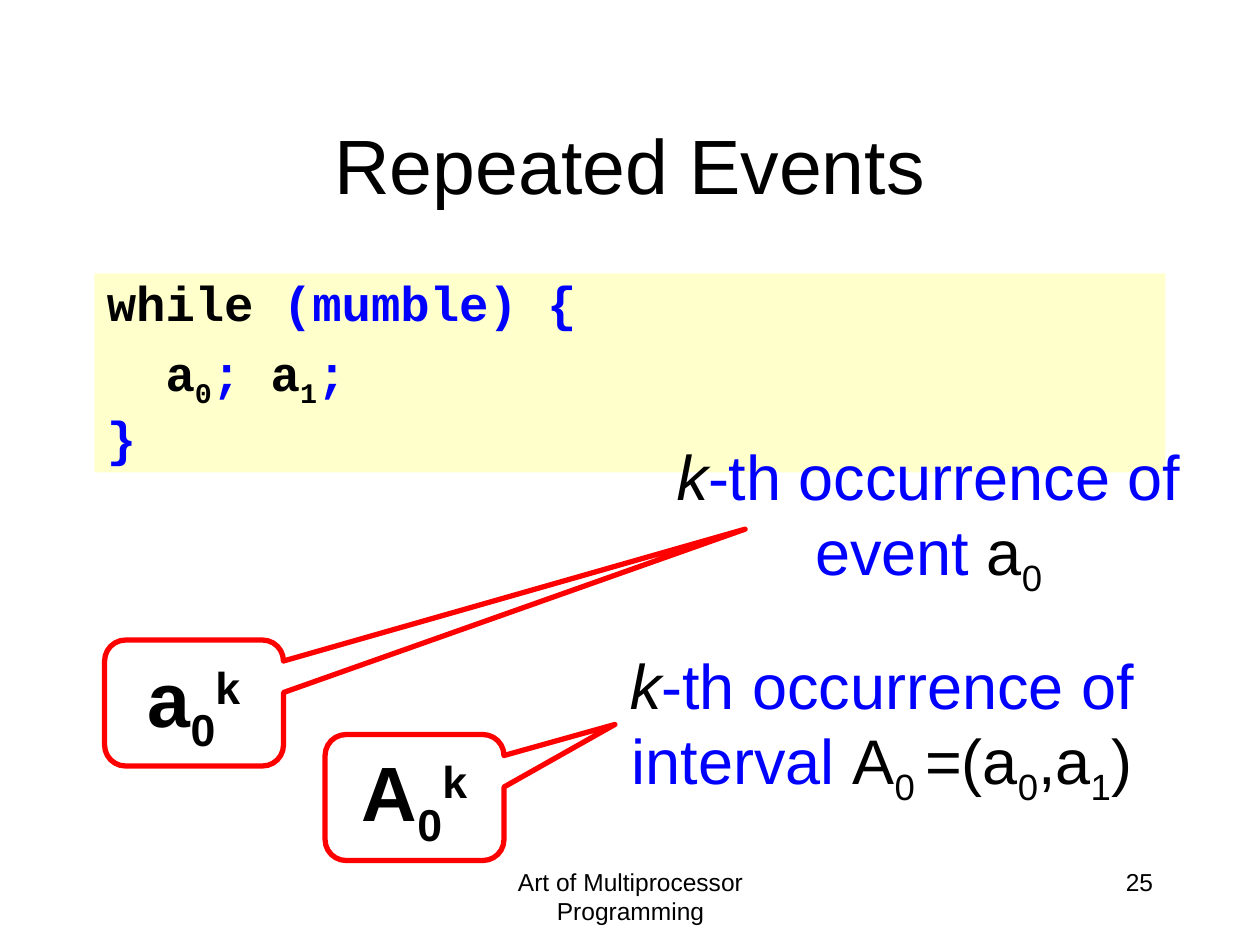
from dataclasses import dataclass
from typing import Optional

import pptx
import pptx.dml.color
import pptx.enum.shapes
import pptx.enum.text
import pptx.util

Inches, Pt = pptx.util.Inches, pptx.util.Pt
RGBColor = pptx.dml.color.RGBColor
MSO_SHAPE = pptx.enum.shapes.MSO_SHAPE
ANCHOR = pptx.enum.text.MSO_ANCHOR
ALIGN = pptx.enum.text.PP_ALIGN

BLACK = RGBColor(0x00, 0x00, 0x00)
BLUE = RGBColor(0x00, 0x00, 0xFF)
RED = RGBColor(0xFF, 0x00, 0x00)
CREAM = RGBColor(0xFF, 0xFF, 0xCC)
SUB, SUPER = -25, 30


@dataclass
class Run:
    text: str
    color: RGBColor = BLACK
    italic: bool = False
    base: int = 0


@dataclass
class Block:
    """A box of text; box is left, top, width, height in inches."""
    box: tuple
    paragraphs: list
    size: int
    align: int = ALIGN.CENTER
    anchor: int = ANCHOR.TOP
    font: str = "Arial"
    bold: bool = False
    tip: Optional[tuple] = None  # callout tip offset, in shares of the box


def set_all(target, values: dict) -> None:
    for name, value in values.items():
        setattr(target, name, value)


def draw_text(sp, block: Block) -> None:
    tf = sp.text_frame
    set_all(tf, {"word_wrap": True, "vertical_anchor": block.anchor})
    for i, runs in enumerate(block.paragraphs):
        p = tf.add_paragraph() if i else tf.paragraphs[0]
        p.alignment = block.align
        for run in runs:
            r = p.add_run()
            r.text = run.text
            set_all(r.font, {"name": block.font, "size": Pt(block.size),
                             "bold": block.bold, "italic": run.italic})
            r.font.color.rgb = run.color
            if run.base:
                r.font._element.set("baseline", str(run.base * 1000))


def draw_block(s, block: Block):
    box = [Inches(v) for v in block.box]
    if block.tip:
        sp = s.shapes.add_shape(MSO_SHAPE.ROUNDED_RECTANGULAR_CALLOUT, *box)
        sp.shadow.inherit = False
        sp.fill.background()
        sp.line.color.rgb = RED
        sp.line.width = Pt(3)
        sp.adjustments[0], sp.adjustments[1] = block.tip
    else:
        sp = s.shapes.add_textbox(*box)
    draw_text(sp, block)
    return sp


def symbol(letter: str) -> list:
    return [[Run(letter), Run("0", base=SUB), Run("k", base=SUPER)]]


def occurrence(kind: str, *name: Run) -> list:
    return [[Run("k", italic=True), Run(f"-th occurrence of {kind} ", BLUE), *name]]


ZERO, ONE = Run("0", base=SUB), Run("1", base=SUB)

FOOTER = [
    Block((3.42, 6.83, 3.17, 0.5), [[Run("Art of Multiprocessor Programming")]], 14),
    Block((7.17, 6.83, 2.08, 0.5), [[Run("25")]], 14, ALIGN.RIGHT),
]
TITLE = Block((0.75, 0.67, 8.5, 1.25), [[Run("Repeated Events")]], 44,
              anchor=ANCHOR.MIDDLE)
CODE = Block((0.75, 2.17, 8.5, 1.58), [
    [Run("while"), Run(" (mumble) {", BLUE)],
    [Run("  a"), ZERO, Run("; ", BLUE), Run("a"), ONE, Run(";", BLUE)],
    [Run("}", BLUE)],
], 28, ALIGN.LEFT, font="Courier New", bold=True)
NOTES = [
    Block((0.83, 5.08, 1.42, 1), symbol("a"), 44, anchor=ANCHOR.MIDDLE,
          bold=True, tip=(3.08, -1.38)),
    Block((5.08, 3.42, 4.58, 1.3), occurrence("event", Run("a"), ZERO), 36),
    Block((2.58, 5.83, 1.42, 1), symbol("A"), 44, anchor=ANCHOR.MIDDLE,
          bold=True, tip=(1.12, -0.58)),
    Block((4.5, 5.08, 5, 1.3),
          occurrence("interval", Run("A"), Run("0 ", base=SUB), Run("=(a"), ZERO,
                     Run(",a"), ONE, Run(")")), 36),
]


def main() -> None:
    prs = pptx.Presentation()
    set_all(prs, {"slide_width": Inches(10), "slide_height": Inches(7.5)})
    s = prs.slides.add_slide(prs.slide_layouts[6])

    # Footer and title
    for block in [*FOOTER, TITLE]:
        draw_block(s, block)

    # Code panel
    sp = draw_block(s, CODE)
    sp.fill.solid()
    sp.fill.fore_color.rgb = CREAM
    for i, p in enumerate(sp.text_frame.paragraphs):
        set_all(p, {"line_spacing": 0.9, "space_before": Pt(6 if i else 0)})

    # Callouts and their explanations
    for block in NOTES:
        draw_block(s, block)

    prs.save("out.pptx")


if __name__ == "__main__":
    main()
